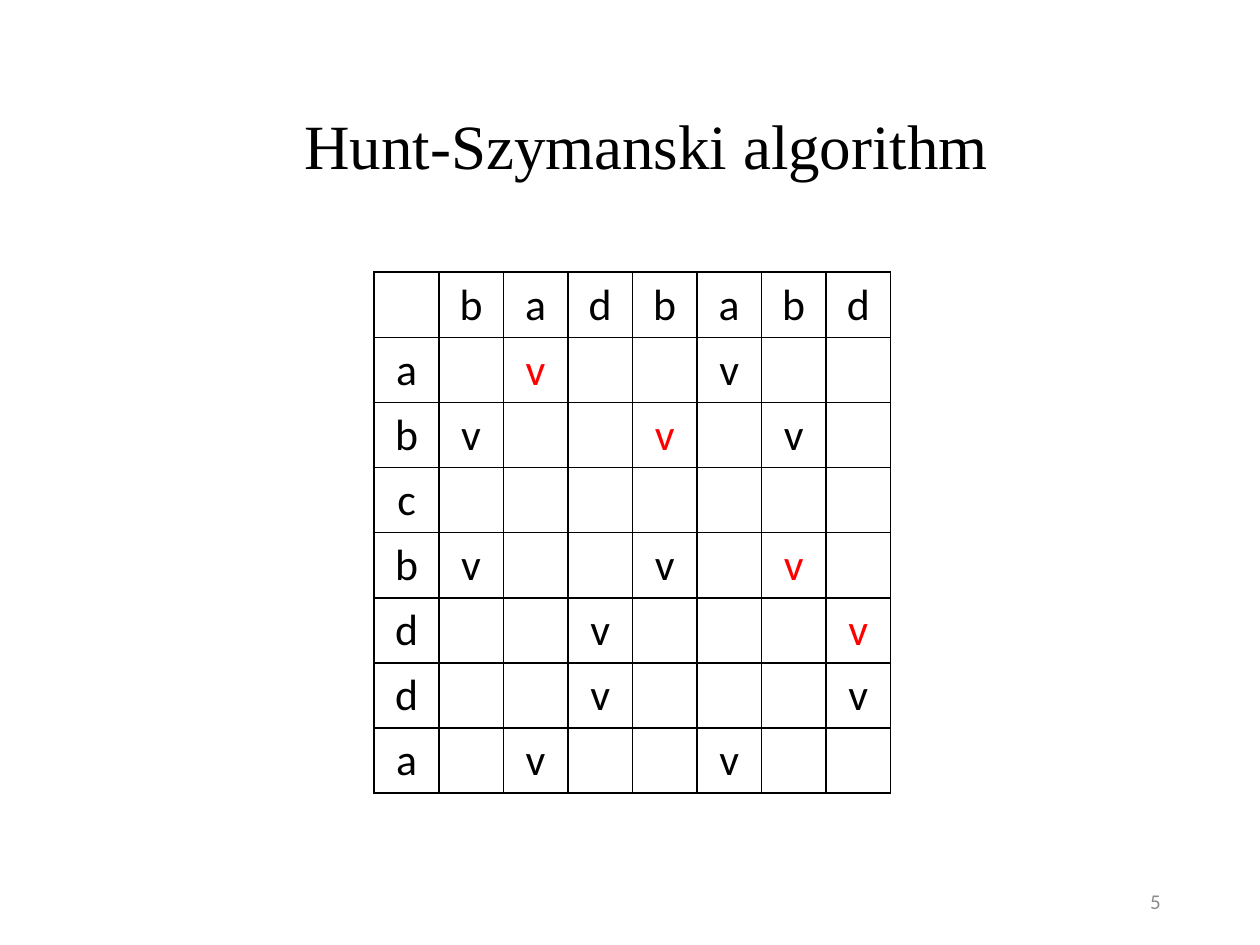
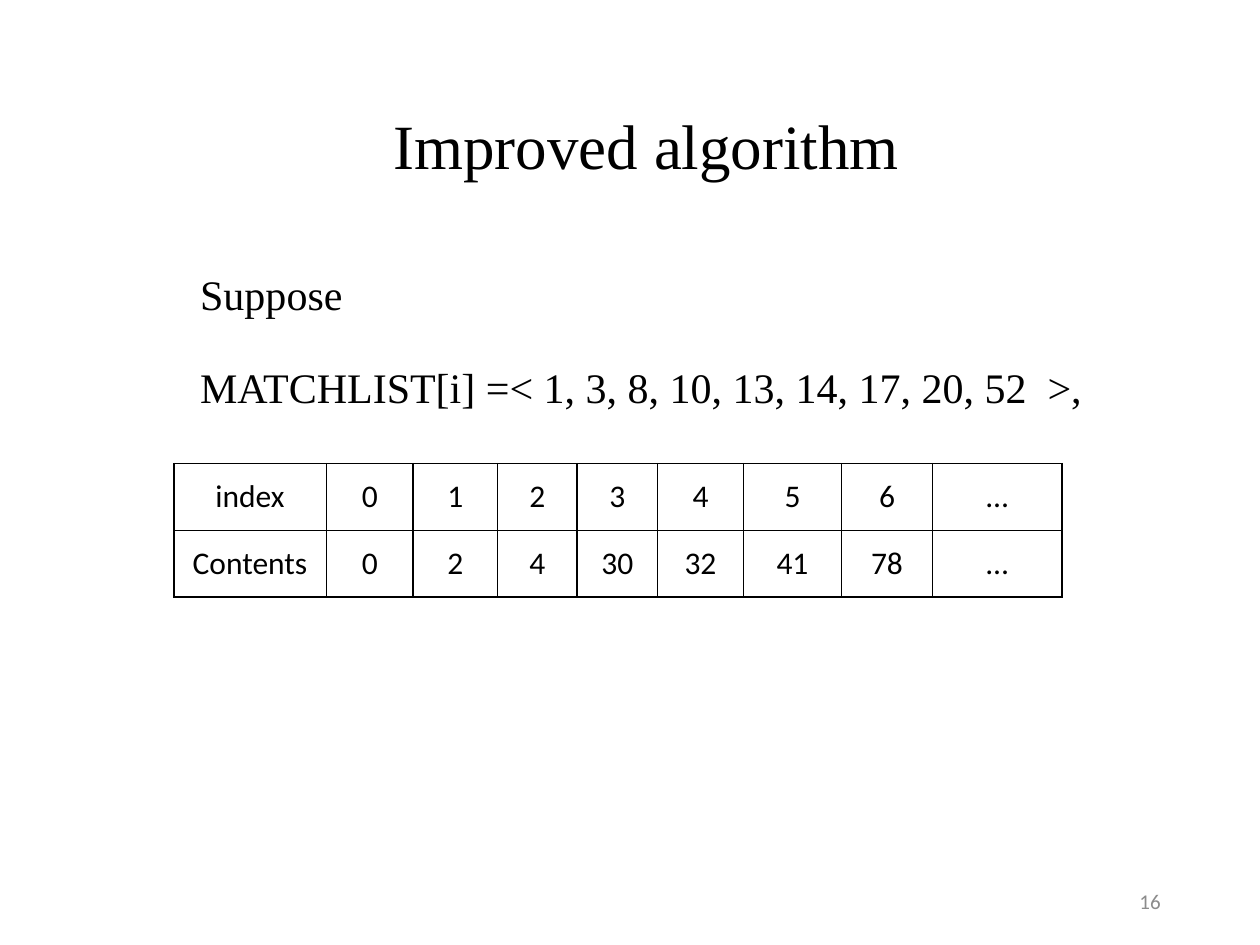
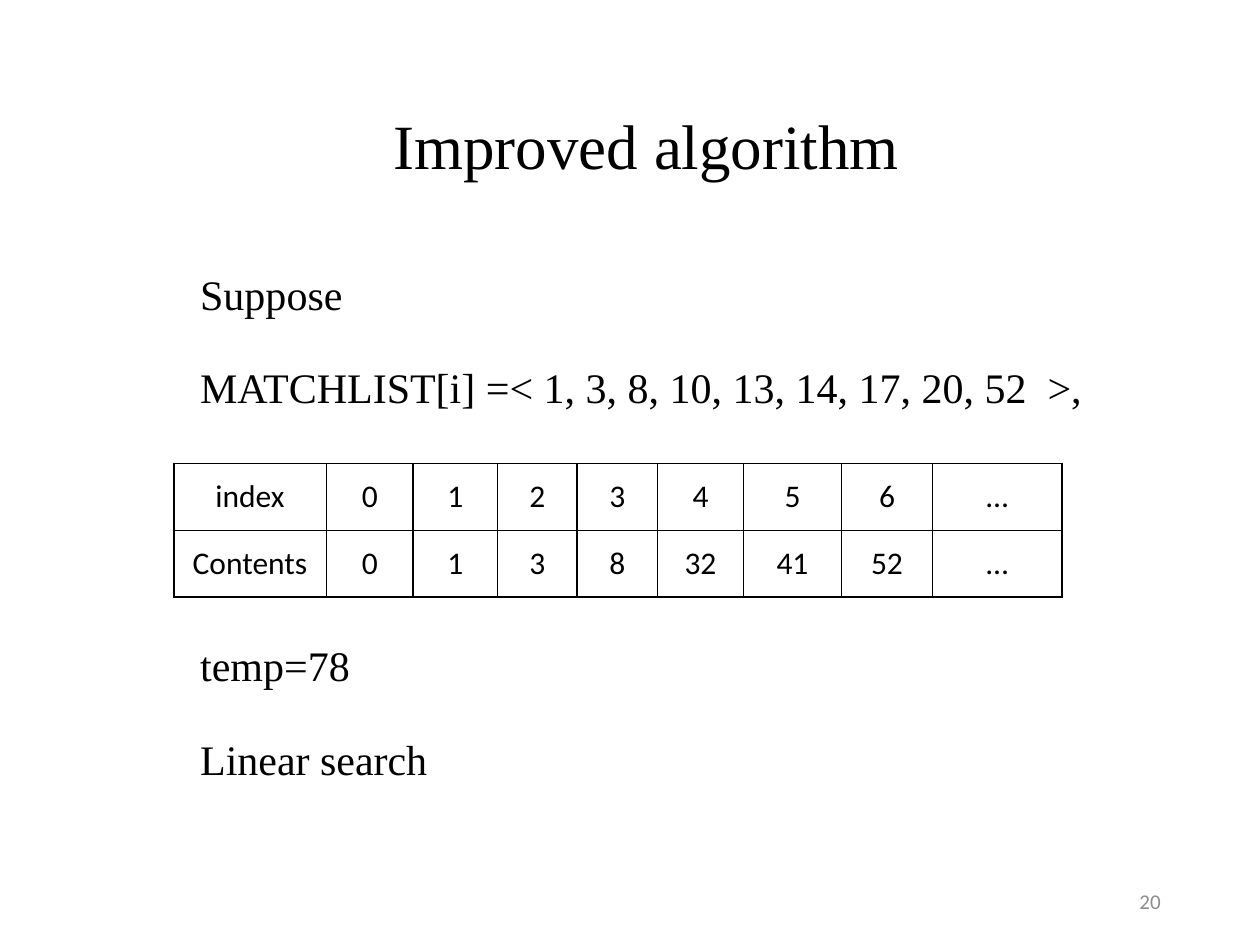
from dataclasses import dataclass

from lxml import etree
from pptx import Presentation
from pptx import util as u
from pptx.dml.color import RGBColor
from pptx.enum import text as t
from pptx.oxml.ns import qn

Pt = u.Pt
HEX = {"ink": "000000", "mark": "FF0000", "page": "FFFFFF", "foot": "8C8C8C"}
SERIF, SANS = "Times New Roman", "Calibri"
MID, TOP, BASE = t.MSO_ANCHOR.MIDDLE, t.MSO_ANCHOR.TOP, t.MSO_ANCHOR.BOTTOM
LEFT, MIDST, RIGHT = t.PP_ALIGN.LEFT, t.PP_ALIGN.CENTER, t.PP_ALIGN.RIGHT


@dataclass(frozen=True)
class Style:
    font: str
    size: float
    color: str = "ink"
    align: t.PP_ALIGN = MIDST
    pitch: float = 1.0


@dataclass(frozen=True)
class Box:
    left: float
    top: float
    width: float
    height: float
    style: Style
    anchor: t.MSO_ANCHOR


@dataclass(frozen=True)
class Line:
    words: str
    before: float = 0


@dataclass(frozen=True)
class Grid:
    left: float
    top: float
    cols: list[float]
    row: float
    style: Style
    anchor: t.MSO_ANCHOR


TITLE = Box(144, 54.72, 450.72, 53.28, Style(SERIF, 36, pitch=0.9), BASE)
BODY = Box(107.28, 135.36, 524.16, 404.64, Style(SERIF, 24, align=LEFT, pitch=1.5), TOP)
FOOT = Box(508.32, 500.4, 162, 28.8, Style(SANS, 12, "foot", RIGHT), MID)

MATCH = Grid(213.84, 155.52, [36.9] * 8, 37.2, Style(SANS, 25), TOP)
INDEX = Grid(99.36, 264.96, [87.1, 49.7, 48.2, 45.4, 46.1, 49, 56.2, 51.8, 74.2],
             38.1, Style(SANS, 18), MID)

ACROSS, DOWN = "badbabd", "abcbdda"
PATH = {(1, 2), (2, 4), (4, 6), (5, 7)}  # row, column of the chosen matches
GAP = 10
SUPPOSE = [Line("Suppose"),
           Line("MATCHLIST[i] =< 1, 3, 8, 10, 13, 14, 17, 20, 52  >,", GAP)]
SEARCH = [Line("temp=78", 116), Line("Linear search", GAP)]


def hue(name: str) -> RGBColor:
    return RGBColor.from_string(HEX[name])


def write(para, words: str, style: Style, color: str = "") -> None:
    para.alignment = style.align
    para.line_spacing = style.pitch
    run = para.add_run()
    run.text = words
    run.font.name = style.font
    run.font.size = Pt(style.size)
    run.font.color.rgb = hue(color or style.color)


def draw_box(slide, box: Box, lines: list[Line]) -> None:
    frame = slide.shapes.add_textbox(
        Pt(box.left), Pt(box.top), Pt(box.width), Pt(box.height)).text_frame
    frame.word_wrap = True
    frame.vertical_anchor = box.anchor
    for i, line in enumerate(lines):
        para = frame.add_paragraph() if i else frame.paragraphs[0]
        para.space_before = Pt(line.before)
        write(para, line.words, box.style)


def rule(cell) -> None:
    """Give a cell a thin border on all four sides."""
    props = cell._tc.get_or_add_tcPr()
    for i, side in enumerate(("lnL", "lnR", "lnT", "lnB")):
        edge = etree.Element(qn(f"a:{side}"), w=str(Pt(1)))
        fill = etree.SubElement(edge, qn("a:solidFill"))
        etree.SubElement(fill, qn("a:srgbClr"), val=HEX["ink"])
        props.insert(i, edge)


def draw_grid(slide, grid: Grid, rows: list[list[str]],
              marks: set[tuple[int, int]] = frozenset()) -> None:
    table = slide.shapes.add_table(
        len(rows), len(grid.cols), Pt(grid.left), Pt(grid.top),
        Pt(sum(grid.cols)), Pt(grid.row * len(rows))).table
    table.first_row = table.horz_banding = False
    for col, width in zip(table.columns, grid.cols):
        col.width = Pt(width)
    for r, words in enumerate(rows):
        table.rows[r].height = Pt(grid.row)
        for c, word in enumerate(words):
            cell = table.cell(r, c)
            cell.fill.solid()
            cell.fill.fore_color.rgb = hue("page")
            cell.vertical_anchor = grid.anchor
            rule(cell)
            if word:
                color = "mark" if (r, c) in marks else ""
                write(cell.text_frame.paragraphs[0], word, grid.style, color)


def add_slide(deck, title: str, body: list[Line], number: int):
    slide = deck.slides.add_slide(deck.slide_layouts[6])
    draw_box(slide, TITLE, [Line(title)])
    if body:
        draw_box(slide, BODY, body)
    draw_box(slide, FOOT, [Line(str(number))])
    return slide


def main() -> None:
    deck = Presentation()
    deck.slide_width, deck.slide_height = Pt(720), Pt(540)

    slide = add_slide(deck, "Hunt-Szymanski algorithm", [], 5)
    rows = [["", *ACROSS]]
    rows += [[d, *("v" if a == d else "" for a in ACROSS)] for d in DOWN]
    draw_grid(slide, MATCH, rows, PATH)

    head = ["index", *(str(i) for i in range(7)), "…"]
    for number, body, held in (
        (16, SUPPOSE, [0, 2, 4, 30, 32, 41, 78]),
        (20, SUPPOSE + SEARCH, [0, 1, 3, 8, 32, 41, 52]),
    ):
        slide = add_slide(deck, "Improved algorithm", body, number)
        draw_grid(slide, INDEX, [head, ["Contents", *map(str, held), "…"]])

    deck.save("out.pptx")


if __name__ == "__main__":
    main()
